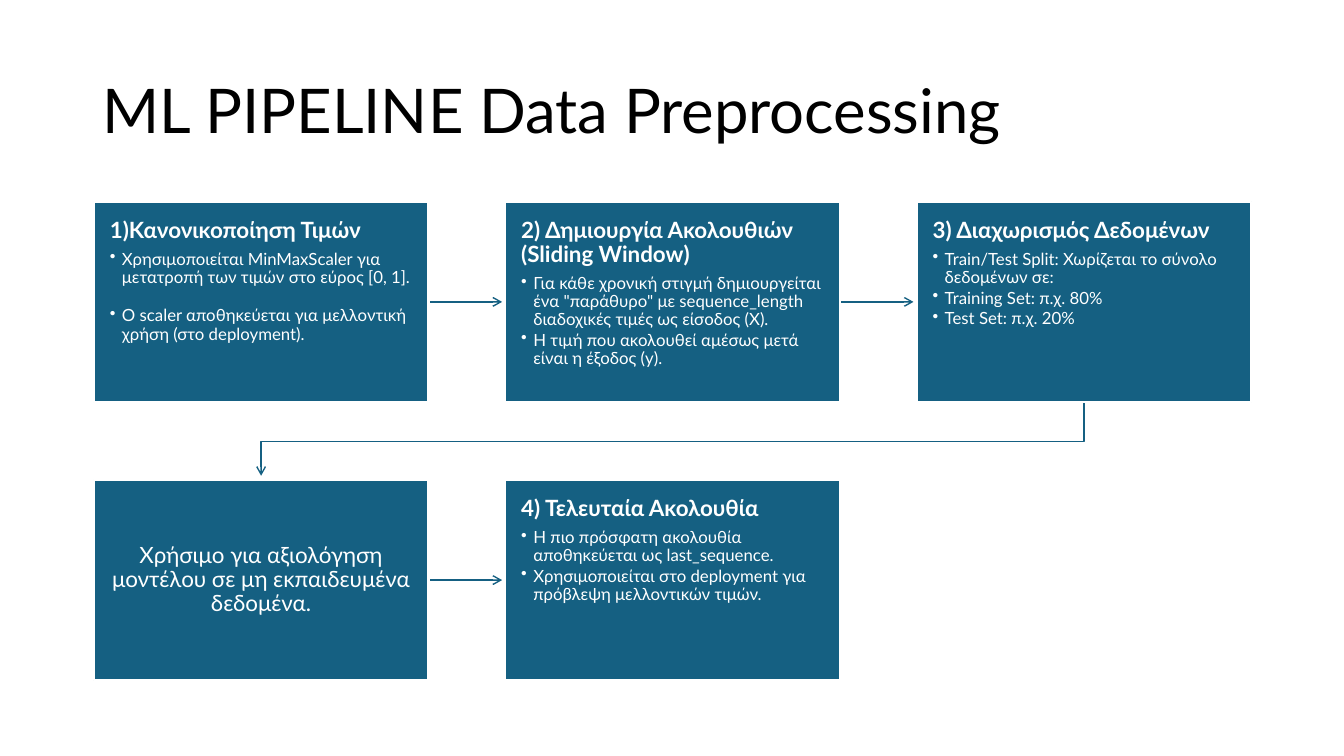
import pptx
import pptx.util
import pptx.dml.color
import pptx.enum.shapes
import pptx.enum.text
import pptx.oxml.ns
from lxml import etree

Inches, Pt = pptx.util.Inches, pptx.util.Pt
ALIGN, ANCHOR = pptx.enum.text.PP_ALIGN, pptx.enum.text.MSO_ANCHOR
qn = pptx.oxml.ns.qn

HUES = {"ink": "000000", "box": "156082", "white": "FFFFFF"}
FONT = "Lato"

# Grid of steps
LEFT, TOP = 0.93, 2.0
WIDE, HIGH = 3.32, 1.99
STEP_X, STEP_Y = 4.08, 2.76
COLS = 3
REACH = 0.73  # arrow length between boxes

# Each step: heading, bullets, space after a bullet
STEPS = [
    ("1)Κανονικοποίηση Τιμών",
     ["Χρησιμοποιείται MinMaxScaler για μετατροπή των τιμών στο εύρος [0, 1].",
      "Ο scaler αποθηκεύεται για μελλοντική χρήση (στο deployment)."], 14.5),
    ("2) Δημιουργία Ακολουθιών (Sliding Window)",
     ["Για κάθε χρονική στιγμή δημιουργείται ένα \"παράθυρο\" με "
      "sequence_length διαδοχικές τιμές ως είσοδος (X).",
      "Η τιμή που ακολουθεί αμέσως μετά είναι η έξοδος (y)."], 1.8),
    ("3) Διαχωρισμός Δεδομένων",
     ["Train/Test Split: Χωρίζεται το σύνολο δεδομένων σε:",
      "Training Set: π.χ. 80%",
      "Test Set: π.χ. 20%"], 1.8),
    ("Χρήσιμο για αξιολόγηση μοντέλου σε μη εκπαιδευμένα δεδομένα.", [], 0),
    ("4) Τελευταία Ακολουθία",
     ["Η πιο πρόσφατη ακολουθία αποθηκεύεται ως last_sequence.",
      "Χρησιμοποιείται στο deployment για πρόβλεψη μελλοντικών τιμών."], 1.8),
]


def color(name):
    return pptx.dml.color.RGBColor.from_string(HUES[name])


def write(frame, text, size=12, hue="white", bold=False, align=ALIGN.LEFT,
          after=0, bullet=False):
    """Fill the empty first paragraph, or add one after it."""
    para = frame.paragraphs[0]
    if para.runs:
        para = frame.add_paragraph()
    para.alignment = align
    para.line_spacing = 0.9
    para.space_before, para.space_after = Pt(0), Pt(after)
    run = para.add_run()
    run.text = text
    run.font.name, run.font.size, run.font.bold = FONT, Pt(size), bold
    run.font.color.rgb = color(hue)
    if bullet:
        props = para._p.get_or_add_pPr()
        props.set("marL", str(Inches(0.12)))
        props.set("indent", str(Inches(-0.12)))
        etree.SubElement(props, qn("a:buChar")).set("char", "•")


def place(index):
    row, col = divmod(index, COLS)
    return LEFT + col * STEP_X, TOP + row * STEP_Y


def add_title(slide, text):
    box = slide.shapes.add_textbox(Inches(0.92), Inches(0.4),
                                   Inches(11.5), Inches(1.45))
    frame = box.text_frame
    frame.word_wrap = True
    frame.vertical_anchor = ANCHOR.MIDDLE
    write(frame, text, size=44, hue="ink")


def add_step(slide, index, head, points, gap):
    x, y = place(index)
    box = slide.shapes.add_shape(
        pptx.enum.shapes.MSO_SHAPE.RECTANGLE,
        Inches(x), Inches(y), Inches(WIDE), Inches(HIGH))
    box.shadow.inherit = False
    box.fill.solid()
    box.fill.fore_color.rgb = color("box")
    box.line.color.rgb = color("white")
    box.line.width = Pt(1.5)
    frame = box.text_frame
    frame.word_wrap = True
    frame.margin_left = frame.margin_right = Inches(0.16)
    frame.margin_top = frame.margin_bottom = Inches(0.17)
    frame.vertical_anchor = ANCHOR.TOP if points else ANCHOR.MIDDLE
    write(frame, head, size=16, bold=bool(points), after=5.6,
          align=ALIGN.LEFT if points else ALIGN.CENTER)
    for point in points:
        write(frame, point, after=gap, bullet=True)


def style_arrow(shape):
    shape.line.color.rgb = color("box")
    shape.line.width = Pt(1)
    line = shape.line._get_or_add_ln()
    etree.SubElement(line, qn("a:tailEnd")).set("type", "arrow")


def add_arrow(slide, index):
    """Straight arrow from a step to the next in its row."""
    x, y = place(index)
    x, y = x + WIDE, y + HIGH / 2
    arrow = slide.shapes.add_connector(
        pptx.enum.shapes.MSO_CONNECTOR.STRAIGHT,
        Inches(x), Inches(y), Inches(x + REACH), Inches(y))
    style_arrow(arrow)
    etree.SubElement(arrow._element.spPr, qn("a:effectLst"))


def add_turn(slide, index):
    """Bent arrow from the end of a row to the start of the next."""
    x, y = place(index)
    goal = place(index + 1)[0] + WIDE / 2
    x, y = x + WIDE / 2, y + HIGH
    spots = [(x, y), (x, y + 0.39), (goal, y + 0.39), (goal, y + REACH)]
    spots = [(Inches(a), Inches(b)) for a, b in spots]
    path = slide.shapes.build_freeform(*spots[0])
    path.add_line_segments(spots[1:], close=False)
    bend = path.convert_to_shape()
    bend.shadow.inherit = False
    bend.fill.background()
    style_arrow(bend)


def main():
    deck = pptx.Presentation()
    deck.slide_width, deck.slide_height = Inches(13.33), Inches(7.5)
    slide = deck.slides.add_slide(deck.slide_layouts[6])

    add_title(slide, "ML PIPELINE Data Preprocessing")

    # Arrows lie behind the boxes
    for index in range(len(STEPS) - 1):
        if (index + 1) % COLS:
            add_arrow(slide, index)
        else:
            add_turn(slide, index)

    for index, step in enumerate(STEPS):
        add_step(slide, index, *step)

    deck.save("out.pptx")


if __name__ == "__main__":
    main()
